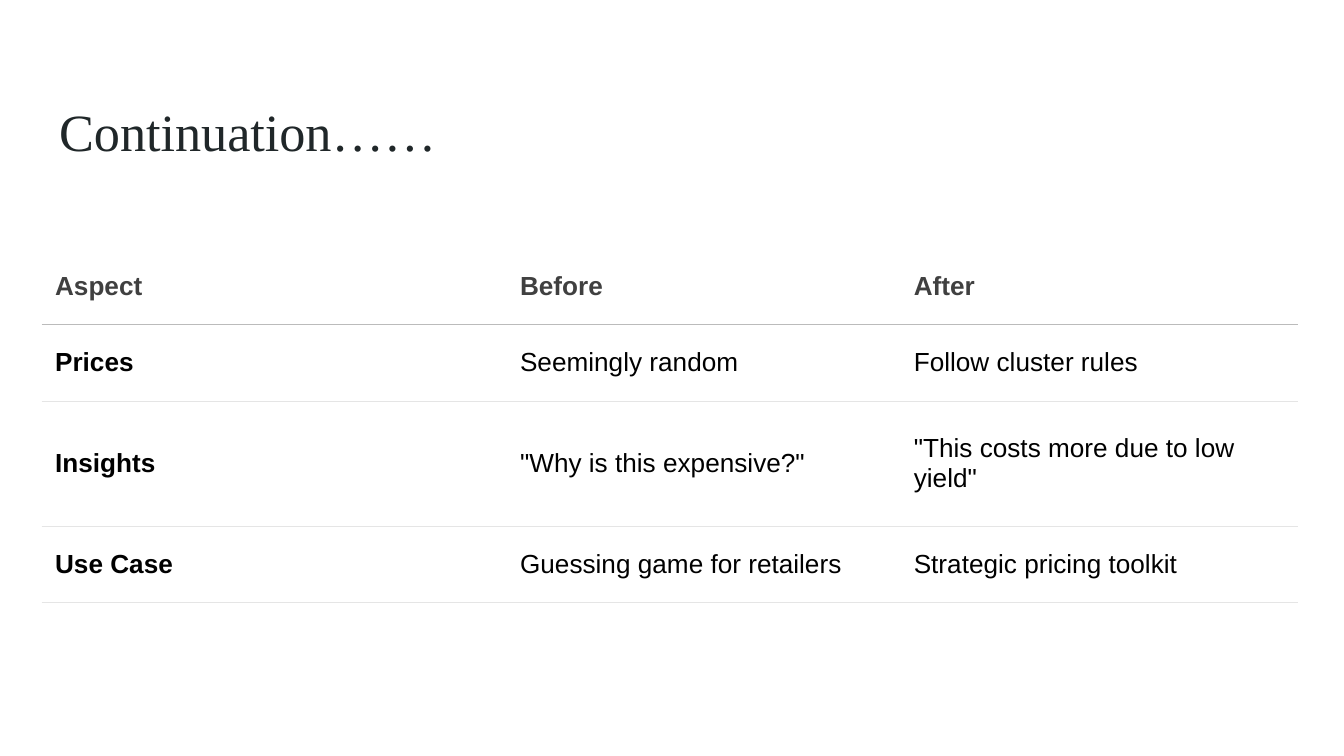
from dataclasses import dataclass

from lxml import etree
from pptx import Presentation
from pptx import util as u
from pptx.dml.color import RGBColor
from pptx.enum import text
from pptx.oxml import ns

PX = u.Inches(1) // 200


@dataclass(frozen=True)
class Theme:
    title_font: str = "Times New Roman"
    body_font: str = "Arial"
    title_size: int = 28
    body_size: int = 14
    title: str = "202729"
    header: str = "404040"
    body: str = "000000"
    background: str = "FFFFFF"
    header_rule: str = "BBBBBB"
    row_rule: str = "E5E5E5"
    rule_width: float = 0.33


THEME = Theme()

COLUMN_WIDTHS = [698, 586, 586]
ROW_HEIGHTS = [114, 114, 186, 114]
ROWS = [
    ["Aspect", "Before", "After"],
    ["Prices", "Seemingly random", "Follow cluster rules"],
    ["Insights", '"Why is this expensive?"', '"This costs more due to low yield"'],
    ["Use Case", "Guessing game for retailers", "Strategic pricing toolkit"],
]


def apply(target, values):
    for name, value in values.items():
        setattr(target, name, value)


def place(shape, box):
    names = ("left", "top", "width", "height")
    apply(shape, {name: length * PX for name, length in zip(names, box)})


def write(frame, words, color, **font):
    para = frame.paragraphs[0]
    span = para.add_run()
    span.text = words
    apply(span.font, font)
    span.font.color.rgb = RGBColor.from_string(color)
    return para


def set_borders(cell, colors):
    properties = cell._tc.get_or_add_tcPr()
    for index, (side, color) in enumerate(zip("LRTB", colors)):
        line = etree.Element(ns.qn(f"a:ln{side}"))
        if color:
            line.set("w", str(u.Pt(THEME.rule_width)))
            fill = etree.SubElement(line, ns.qn("a:solidFill"))
            etree.SubElement(fill, ns.qn("a:srgbClr"), val=color)
        else:
            etree.SubElement(line, ns.qn("a:noFill"))
        properties.insert(index, line)


def add_title(page, box, words):
    title = page.shapes.title
    place(title, box)
    margins = ("margin_left", "margin_top", "margin_right", "margin_bottom")
    apply(title.text_frame, {name: 20 * PX for name in margins})
    apply(title.text_frame, {
        "word_wrap": True,
        "auto_size": text.MSO_AUTO_SIZE.NONE,
        "vertical_anchor": text.MSO_ANCHOR.MIDDLE,
    })
    para = write(title.text_frame, words, THEME.title,
                 name=THEME.title_font, size=u.Pt(THEME.title_size))
    apply(para, {"alignment": text.PP_ALIGN.LEFT, "line_spacing": 1.08})


def add_comparison(page, box):
    frame = page.shapes.add_table(
        len(ROWS), len(COLUMN_WIDTHS), *(length * PX for length in box))
    table = frame.table
    table.horz_banding = False
    for column, width in zip(table.columns, COLUMN_WIDTHS):
        column.width = width * PX
    rules = [None, THEME.header_rule] + [THEME.row_rule] * (len(ROWS) - 1)
    for r, (row, height) in enumerate(zip(table.rows, ROW_HEIGHTS)):
        row.height = height * PX
        for c, cell in enumerate(row.cells):
            apply(cell, {
                "margin_left": (14 if c else 20) * PX,
                "margin_top": 14 * PX,
                "margin_right": 14 * PX,
                "margin_bottom": 14 * PX,
                "vertical_anchor": text.MSO_ANCHOR.MIDDLE,
            })
            cell.fill.solid()
            cell.fill.fore_color.rgb = RGBColor.from_string(THEME.background)
            set_borders(cell, [None, None, rules[r], rules[r + 1]])
            write(cell.text_frame, ROWS[r][c],
                  THEME.body if r else THEME.header,
                  name=THEME.body_font, size=u.Pt(THEME.body_size),
                  bold=r == 0 or c == 0)


def main():
    deck = Presentation()
    apply(deck, {"slide_width": 2000 * PX, "slide_height": 1125 * PX})
    page = deck.slides.add_slide(deck.slide_layouts.get_by_name("Title Only"))
    add_title(page, (68, 128, 1864, 126), "Continuation……")
    add_comparison(page, (62, 369, sum(COLUMN_WIDTHS), sum(ROW_HEIGHTS)))
    deck.save("out.pptx")


if __name__ == "__main__":
    main()
